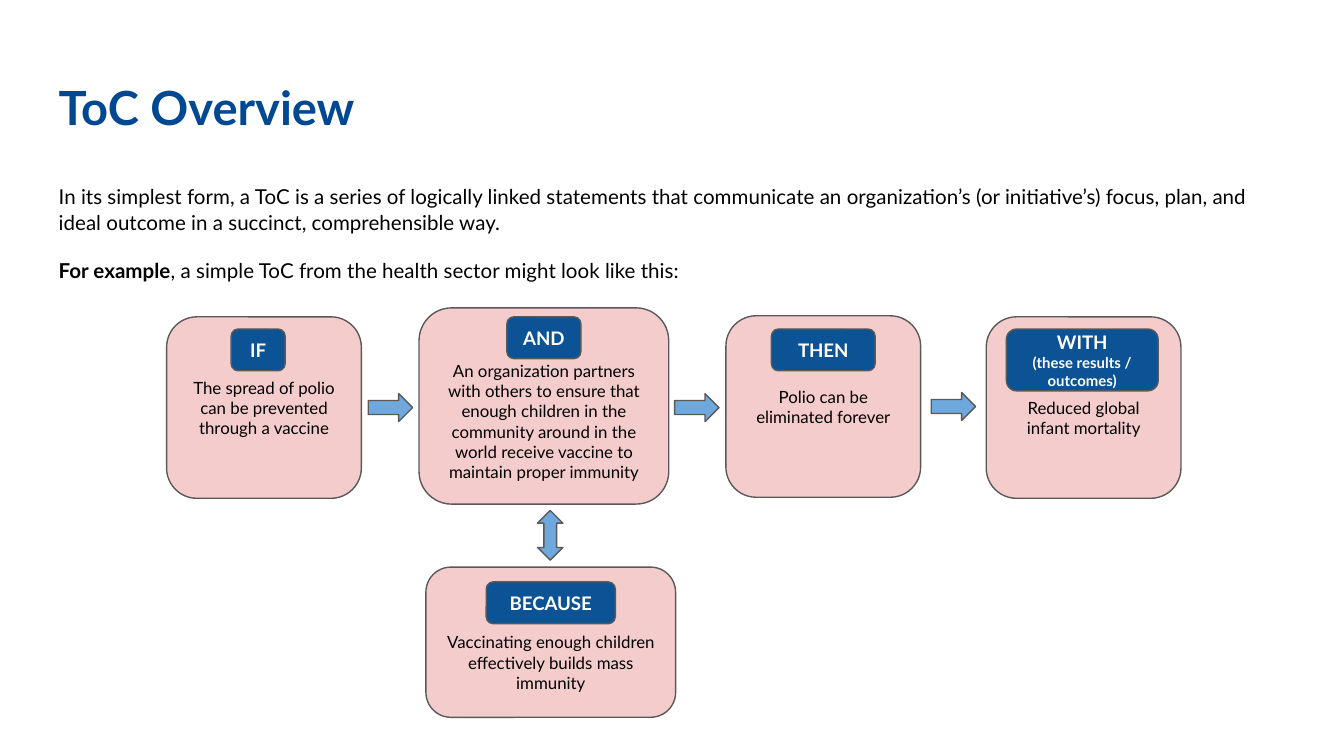
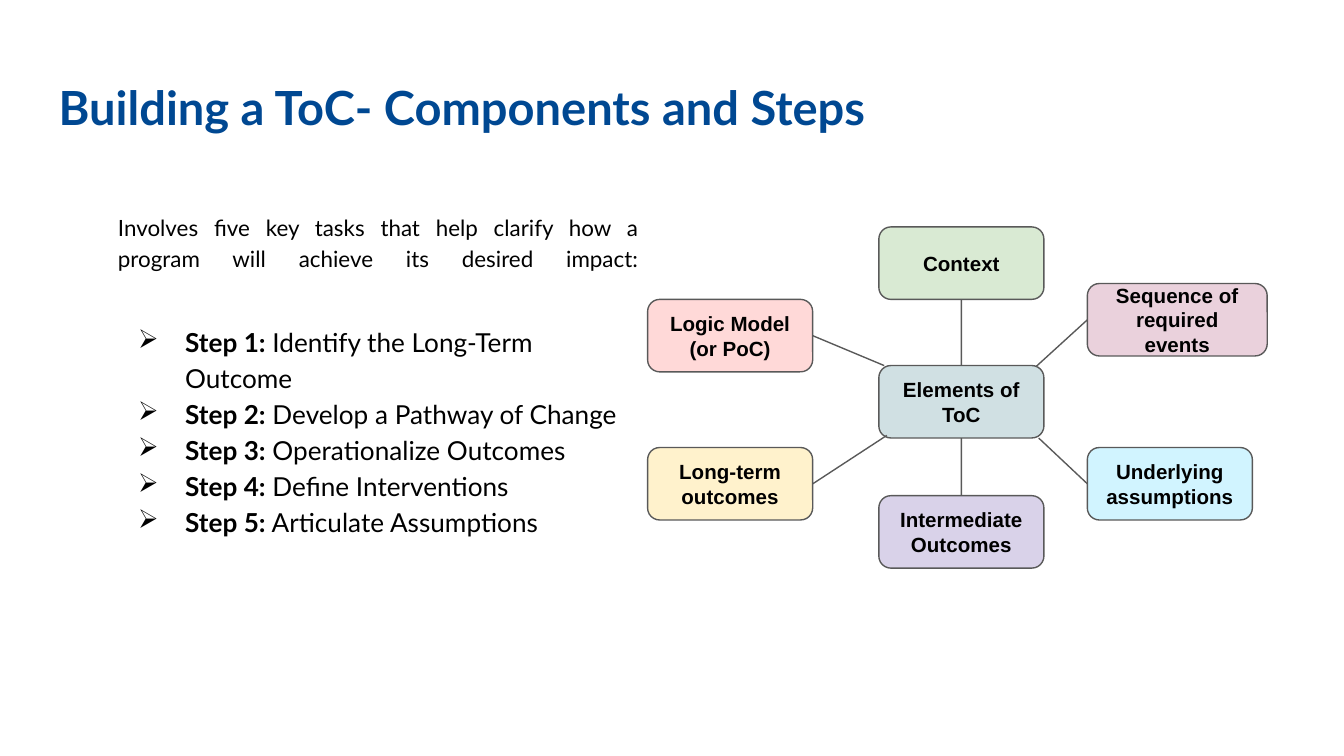
from lxml import etree
from pptx import Presentation
from pptx import util as u
from pptx.dml.color import RGBColor
from pptx.enum import shapes, text
from pptx.oxml.ns import qn

COLOURS = {
    "title": "004892", "text": "000000", "white": "FFFFFF", "outline": "595959",
    "card": "F4CCCC", "badge": "0B5394", "arrow": "6FA8DC",
    "centre": "D0E0E3", "green": "D9EAD3", "violet": "D9D2E9", "pink": "EAD1DC",
    "red": "FFD9D8", "yellow": "FFF2CC", "cyan": "D1F4FF",
}
INSET = 0.25  # cm
SHAPE = shapes.MSO_SHAPE
CENTER = text.PP_ALIGN.CENTER
TOP, LEFT, BOTTOM, RIGHT = range(4)  # connection sites of a rounded rectangle


def rgb(name):
    return RGBColor.from_string(COLOURS[name])


class Deck:
    """Holds the style and the slide being built; all lengths are in cm."""

    def __init__(self, presentation):
        self.presentation = presentation
        self.slide = None

    def new_slide(self, title):
        self.slide = self.presentation.slides.add_slide(
            self.presentation.slide_layouts[6])
        frame = self.text_box(0.86, 1.24, 23.67, 1.6)
        self.paragraph(frame, title, 25.2, colour="title", bold=True)

    def set_frame(self, frame, extra_top=0):
        frame.word_wrap = True
        frame.margin_left = frame.margin_right = frame.margin_bottom = u.Cm(INSET)
        frame.margin_top = u.Cm(INSET + extra_top)
        return frame

    def text_box(self, left, top, width, height):
        box = self.slide.shapes.add_textbox(*map(u.Cm, (left, top, width, height)))
        return self.set_frame(box.text_frame)

    def paragraph(self, frame, content, size, colour="text", font="Lato", bold=None,
                  align=None, spacing=None, before=None):
        """Add a paragraph; content is a string or a (bold, plain) pair."""
        paragraph = frame.paragraphs[0]
        if paragraph.text:
            paragraph = frame.add_paragraph()
        if isinstance(content, str):
            paragraph.text = content
            paragraph.font.bold = bold
        else:
            for words, strong in zip(content, (True, False)):
                run = paragraph.add_run()
                run.text = words
                run.font.bold = strong
        paragraph.font.name = font
        paragraph.font.size = u.Pt(size)
        paragraph.font.color.rgb = rgb(colour)
        paragraph.alignment = align
        paragraph.line_spacing = spacing
        if before is not None:
            paragraph.space_before = u.Pt(before)
        return paragraph

    def bullet(self, paragraph, character, indent, hanging):
        properties = paragraph._p.get_or_add_pPr()
        properties.set("marL", str(u.Cm(indent)))
        properties.set("indent", str(-u.Cm(hanging)))
        mark = etree.Element(qn("a:buChar"), char=character)
        # The bullet belongs before the default run properties
        properties.find(qn("a:defRPr")).addprevious(mark)

    def shape(self, kind, left, top, width, height, fill):
        shape = self.slide.shapes.add_shape(
            kind, *map(u.Cm, (left, top, width, height)))
        shape.shadow.inherit = False
        shape.fill.solid()
        shape.fill.fore_color.rgb = rgb(fill)
        self.outline(shape.line)
        return shape

    def box(self, place, fill, lines, extra_top=0, **style):
        """Rounded box with centred text; lines are (words, size) pairs."""
        shape = self.shape(SHAPE.ROUNDED_RECTANGLE, *place, fill)
        frame = self.set_frame(shape.text_frame, extra_top)
        frame.vertical_anchor = text.MSO_ANCHOR.MIDDLE
        for words, size in lines:
            self.paragraph(frame, words, size, align=CENTER, **style)
        return shape

    def outline(self, line):
        line.color.rgb = rgb("outline")
        line.width = u.Pt(0.75)

    def link(self, shape, site, x, y):
        connector = self.slide.shapes.add_connector(
            shapes.MSO_CONNECTOR.STRAIGHT, 0, 0, u.Cm(x), u.Cm(y))
        connector.begin_connect(shape, site)
        self.outline(connector.line)
        etree.SubElement(connector._element.spPr, qn("a:effectLst"))


def overview(deck):
    deck.new_slide("ToC Overview")

    # Introduction
    frame = deck.text_box(0.86, 3.2, 23.67, 2.41)
    deck.paragraph(
        frame, "In its simplest form, a ToC is a series of logically linked statements "
        "that communicate an organization’s (or initiative’s) focus, plan, and ideal "
        "outcome in a succinct, comprehensible way.", 11, spacing=1.05)
    deck.paragraph(
        frame, ("For example", ", a simple ToC from the health sector might look like this:"),
        11, spacing=1.05, before=12)

    # Cards: place, words, extra top inset, badge place, badge lines
    cards = [
        ((3.15, 5.99, 3.68, 3.43), "The spread of polio can be prevented through a vaccine",
         0, (4.37, 6.22, 1.02, 0.79), [("IF", 10)]),
        ((7.92, 5.82, 4.72, 3.71),
         "An organization partners with others to ensure that enough children in the "
         "community around in the world receive vaccine to maintain proper immunity",
         0.58, (9.58, 5.99, 1.4, 0.79), [("AND", 10)]),
        ((13.72, 5.97, 3.68, 3.43), "Polio can be eliminated forever",
         0, (14.58, 6.22, 1.96, 0.79), [("THEN", 10)]),
        ((8.05, 10.72, 4.72, 2.84),
         "Vaccinating enough children effectively builds mass immunity",
         0.76, (9.19, 11, 2.44, 0.79), [("BECAUSE", 10)]),
        ((18.64, 5.99, 3.68, 3.43), "Reduced global infant mortality",
         0.38, (19.02, 6.22, 2.87, 1.17),
         [("WITH", 10), ("(these results / outcomes)", 8)]),
    ]
    for place, words, extra_top, badge_place, badge_lines in cards:
        deck.box(place, "card", [(words, 9)], extra_top)
        deck.box(badge_place, "badge", badge_lines, colour="white", bold=True)

    # Arrows between the cards
    for left, top in ((6.96, 7.44), (12.75, 7.44), (17.6, 7.42)):
        deck.shape(SHAPE.RIGHT_ARROW, left, top, 0.84, 0.53, "arrow")
    deck.shape(SHAPE.UP_DOWN_ARROW, 10.16, 9.65, 0.48, 0.94, "arrow")


def components(deck):
    deck.new_slide("Building a ToC- Components and Steps")

    # Steps; the closing line break stretches the last justified line
    frame = deck.text_box(1.98, 3.73, 10.34, 9.5)
    deck.paragraph(
        frame, "Involves five key tasks that help clarify how a program will achieve "
        "its desired impact:\v", 12, align=text.PP_ALIGN.JUSTIFY, spacing=1.15)
    steps = ["Identify the Long-Term Outcome", "Develop a Pathway of Change",
             "Operationalize Outcomes", "Define Interventions", "Articulate Assumptions"]
    for number, step in enumerate(steps, 1):
        paragraph = deck.paragraph(frame, (f"Step {number}:", f" {step}"), 14,
                                   spacing=1.15, before=12 if number == 1 else 0)
        deck.bullet(paragraph, "➢", 1.27, 0.89)

    # Elements around the centre: left, top, width, fill, words, link site, link end
    height, width = 1.37, 3.12
    left, middle, right = 12.24, 16.61, 20.55
    axis = middle + width / 2
    node_style = {"font": "Arial", "bold": True}
    deck.box((middle, 6.91, width, height), "centre", [("Elements of ToC", 11)], **node_style)
    elements = [
        (middle, 4.29, width, "green", "Context", BOTTOM, (axis, 6.91)),
        (middle, 9.37, width, "violet", "Intermediate Outcomes", TOP, (axis, 8.28)),
        (right, 5.36, 3.4, "pink", "Sequence of required events", LEFT, (19.58, 6.93)),
        (left, 5.66, width, "red", "Logic Model\v(or PoC)", RIGHT, (16.71, 6.91)),
        (left, 8.46, width, "yellow", "Long-term outcomes", RIGHT, (16.76, 8.23)),
        (right, 8.46, width, "cyan", "Underlying assumptions", LEFT, (19.63, 8.28)),
    ]
    for x, y, element_width, fill, words, site, end in elements:
        node = deck.box((x, y, element_width, height), fill, [(words, 11)], **node_style)
        deck.link(node, site, *end)


def main():
    presentation = Presentation()
    presentation.slide_width = u.Cm(25.4)
    presentation.slide_height = u.Cm(14.29)
    deck = Deck(presentation)
    overview(deck)
    components(deck)
    presentation.save("out.pptx")


if __name__ == "__main__":
    main()
